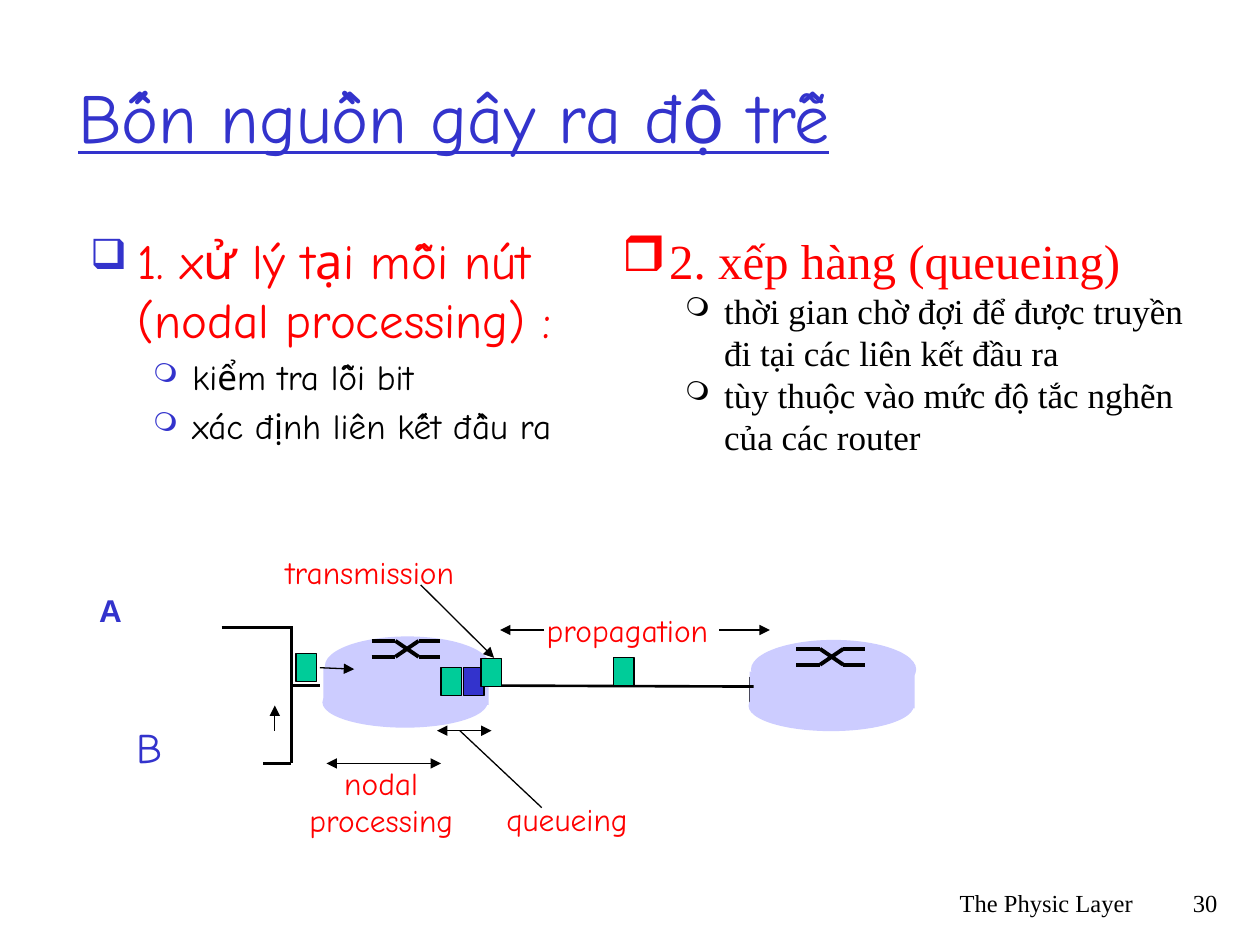
from dataclasses import dataclass

from lxml import etree
from pptx import Presentation
from pptx.dml.color import RGBColor
from pptx.enum.shapes import MSO_CONNECTOR, MSO_SHAPE
from pptx.enum.text import MSO_ANCHOR, MSO_AUTO_SIZE, PP_ALIGN
from pptx.oxml.ns import qn
from pptx.util import Cm, Pt

LEFT, CENTER, RIGHT = PP_ALIGN.LEFT, PP_ALIGN.CENTER, PP_ALIGN.RIGHT
TOP, MIDDLE = MSO_ANCHOR.TOP, MSO_ANCHOR.MIDDLE
RECTANGLE, ELLIPSE = MSO_SHAPE.RECTANGLE, MSO_SHAPE.OVAL
STRAIGHT = MSO_CONNECTOR.STRAIGHT
TITLE_ONLY = 5


@dataclass(frozen=True)
class Theme:
    comic: str = "Comic Neue"
    serif: str = "Times New Roman"
    sans: str = "Arial"
    blue: str = "3333CC"
    red: str = "FF0000"
    black: str = "000000"
    green: str = "00CC99"
    lavender: str = "CCCCFF"
    title: int = 40
    heading: int = 28
    host: int = 24
    item: int = 20
    label: int = 18
    footer: int = 14
    thin: float = 0.75
    edge: float = 1
    link: float = 1.5
    cross: float = 2.25


THEME = Theme()

TITLE = "Bốn nguồn gây ra độ trễ"
TITLE_BOX = (1.32, 0.74, 21.59, 3.18)

COLUMNS = [
    dict(box=(1.57, 4.52, 10.82, 4.88), font=THEME.comic, bullet="❑",
         bullet_color=THEME.blue, bullet_size=85, spacing=0.2,
         heading="1. xử lý tại mỗi nút (nodal processing) :",
         items=["kiểm tra lỗi bit", "xác định liên kết đầu ra"]),
    dict(box=(12.29, 4.52, 12.52, 5.49), font=THEME.serif, bullet="❒",
         bullet_color=None, bullet_size=100, spacing=0,
         heading="2. xếp hàng (queueing)",
         items=["thời gian chờ đợi để được truyền đi tại các liên kết đầu ra",
                "tùy thuộc vào mức độ tắc nghẽn của các router"]),
]

FOOTERS = [("The Physic Layer", (15.04, 17.78, 8.05, 1.27)),
           ("30", (23.06, 17.78, 1.73, 1.27))]

ROUTERS = [(6.5, 12.83), (15.09, 12.9)]
ROUTER_PARTS = [(ELLIPSE, (0, 0.82, 3.33, 1.02)),
                (RECTANGLE, (0.02, 0.64, 3.33, 0.74)),
                (ELLIPSE, (0.05, 0, 3.33, 1.19))]
ROUTER_EDGE = (15.11, 13.64, 15.11, 14.27)

CROSSES = [(7.49, 12.92), (16.05, 13.08)]
CROSS_COLUMNS = (0, 0.48, 0.95, 1.38)
CROSS_HEIGHT = 0.32

LINKS = [(4.47, 12.65, 5.87, 12.65), (5.31, 15.39, 5.87, 15.39),
         (9.8, 13.82, 15.19, 13.84), (5.87, 12.62, 5.87, 15.39),
         (5.89, 13.82, 6.45, 13.82)]

PACKET_SIZE = (0.41, 0.56)
PACKETS = [(12.37, 13.26, THEME.green), (8.89, 13.46, THEME.green),
           (9.35, 13.46, THEME.blue), (5.97, 13.18, THEME.green),
           (9.7, 13.28, THEME.green)]

ONE_WAY, TWO_WAY = ("tailEnd",), ("headEnd", "tailEnd")
POINTERS = [
    ((6.45, 13.46, 7.14, 13.49), ONE_WAY),
    ((5.54, 14.73, 5.54, 14.22), ONE_WAY),
    ((14.5, 12.7, 15.52, 12.7), ONE_WAY),
    ((10.97, 12.7, 10.08, 12.7), ONE_WAY),
    ((8.48, 11.79, 9.96, 13.26), ONE_WAY),
    ((8.89, 15.39, 6.58, 15.39), TWO_WAY),
    ((9.91, 14.73, 8.81, 14.73), TWO_WAY),
    ((10.92, 16.28, 9.27, 14.73), ()),
]

HOSTS = [("A", (1.75, 11.79, 0.97, 1.02), THEME.sans, THEME.label, True),
         ("B", (2.51, 14.43, 1.04, 1.27), THEME.comic, THEME.host, False)]
LABELS = [(["propagation"], (10.77, 12.19, 3.96, 1.02)),
          (["transmission"], (5.51, 11.02, 4.22, 1.02)),
          (["nodal", "processing"], (5.87, 15.27, 3.63, 1.78)),
          (["queueing"], (9.96, 16, 3.05, 1.02))]


def color(value):
    return RGBColor.from_string(value)


def lengths(values):
    return [Cm(value) for value in values]


def add_bullet(paragraph, character, tint, size, margin, hanging):
    properties = paragraph._p.get_or_add_pPr()
    properties.set("marL", str(Cm(margin)))
    properties.set("indent", str(-Cm(hanging)))
    if tint:
        bullet_color = etree.SubElement(properties, qn("a:buClr"))
        etree.SubElement(bullet_color, qn("a:srgbClr"), val=tint)
    etree.SubElement(properties, qn("a:buSzPct"), val=str(size * 1000))
    etree.SubElement(properties, qn("a:buChar"), char=character)


def write(paragraph, text, *, font, size, tint, bold=False, underline=False,
          align=LEFT, before=0):
    paragraph.alignment = align
    paragraph.space_before = Pt(before)
    run = paragraph.add_run()
    run.text = text
    run.font.name = font
    run.font.size = Pt(size)
    run.font.bold = bold
    run.font.underline = underline
    run.font.color.rgb = color(tint)


def add_frame(slide, box, wrap=True):
    frame = slide.shapes.add_textbox(*lengths(box)).text_frame
    frame.word_wrap = wrap
    frame.vertical_anchor = TOP
    return frame


def add_lines(slide, texts, box, wrap=True, **style):
    frame = add_frame(slide, box, wrap)
    for index, text in enumerate(texts):
        paragraph = frame.add_paragraph() if index else frame.paragraphs[0]
        write(paragraph, text, **style)


def add_column(slide, column):
    frame = add_frame(slide, column["box"])
    heading = frame.paragraphs[0]
    add_bullet(heading, column["bullet"], column["bullet_color"],
               column["bullet_size"], 0.95, 0.95)
    write(heading, column["heading"], font=column["font"],
          size=THEME.heading, tint=THEME.red)
    for item in column["items"]:
        paragraph = frame.add_paragraph()
        paragraph.level = 1
        add_bullet(paragraph, "❍", column["bullet_color"], 75, 2.06, 0.79)
        write(paragraph, item, font=column["font"], size=THEME.item,
              tint=THEME.black, before=THEME.item * column["spacing"])


def add_block(slide, kind, box, fill, outlined=False):
    shape = slide.shapes.add_shape(kind, *lengths(box))
    shape.shadow.inherit = False
    shape.fill.solid()
    shape.fill.fore_color.rgb = color(fill)
    if outlined:
        shape.line.color.rgb = color(THEME.black)
        shape.line.width = Pt(THEME.thin)
    else:
        shape.line.fill.background()


def add_line(slide, ends, width, arrows=()):
    connector = slide.shapes.add_connector(STRAIGHT, *lengths(ends))
    connector.line.color.rgb = color(THEME.black)
    connector.line.width = Pt(width)
    outline = connector.line._get_or_add_ln()
    for end in arrows:
        etree.SubElement(outline, qn(f"a:{end}"), type="triangle")
    etree.SubElement(connector._element.spPr, qn("a:effectLst"))


def add_cross(slide, x, y):
    start, inner, outer, end = (x + column for column in CROSS_COLUMNS)
    bottom = y + CROSS_HEIGHT
    for near, far in ((y, bottom), (bottom, y)):
        for ends in ((start, near, inner, near), (inner, near, outer, far),
                     (outer, far, end, far)):
            add_line(slide, ends, THEME.cross)


def add_diagram(slide):
    add_line(slide, ROUTER_EDGE, THEME.edge)
    for x, y in ROUTERS:
        for kind, (left, top, width, height) in ROUTER_PARTS:
            add_block(slide, kind, (x + left, y + top, width, height), THEME.lavender)
    for x, y in CROSSES:
        add_cross(slide, x, y)
    for ends in LINKS:
        add_line(slide, ends, THEME.link)
    for x, y, fill in PACKETS:
        add_block(slide, RECTANGLE, (x, y, *PACKET_SIZE), fill, outlined=True)
    for text, box, font, size, bold in HOSTS:
        add_lines(slide, [text], box, wrap=False, font=font, size=size,
                  tint=THEME.blue, bold=bold)
    for texts, box in LABELS:
        add_lines(slide, texts, box, wrap=False, font=THEME.comic, size=THEME.label,
                  tint=THEME.red, align=CENTER if len(texts) > 1 else LEFT)
    for ends, arrows in POINTERS:
        add_line(slide, ends, THEME.thin, arrows)


def main():
    presentation = Presentation()
    presentation.slide_width, presentation.slide_height = Cm(25.4), Cm(19.05)
    slide = presentation.slides.add_slide(presentation.slide_layouts[TITLE_ONLY])
    title = slide.shapes.title
    title.left, title.top, title.width, title.height = lengths(TITLE_BOX)
    title.text_frame.vertical_anchor = MIDDLE
    title.text_frame.auto_size = MSO_AUTO_SIZE.NONE
    write(title.text_frame.paragraphs[0], TITLE, font=THEME.comic,
          size=THEME.title, tint=THEME.blue, underline=True)
    for column in COLUMNS:
        add_column(slide, column)
    add_diagram(slide)
    for text, box in FOOTERS:
        add_lines(slide, [text], box, font=THEME.serif, size=THEME.footer,
                  tint=THEME.black, align=RIGHT)
    presentation.save("out.pptx")


if __name__ == "__main__":
    main()
